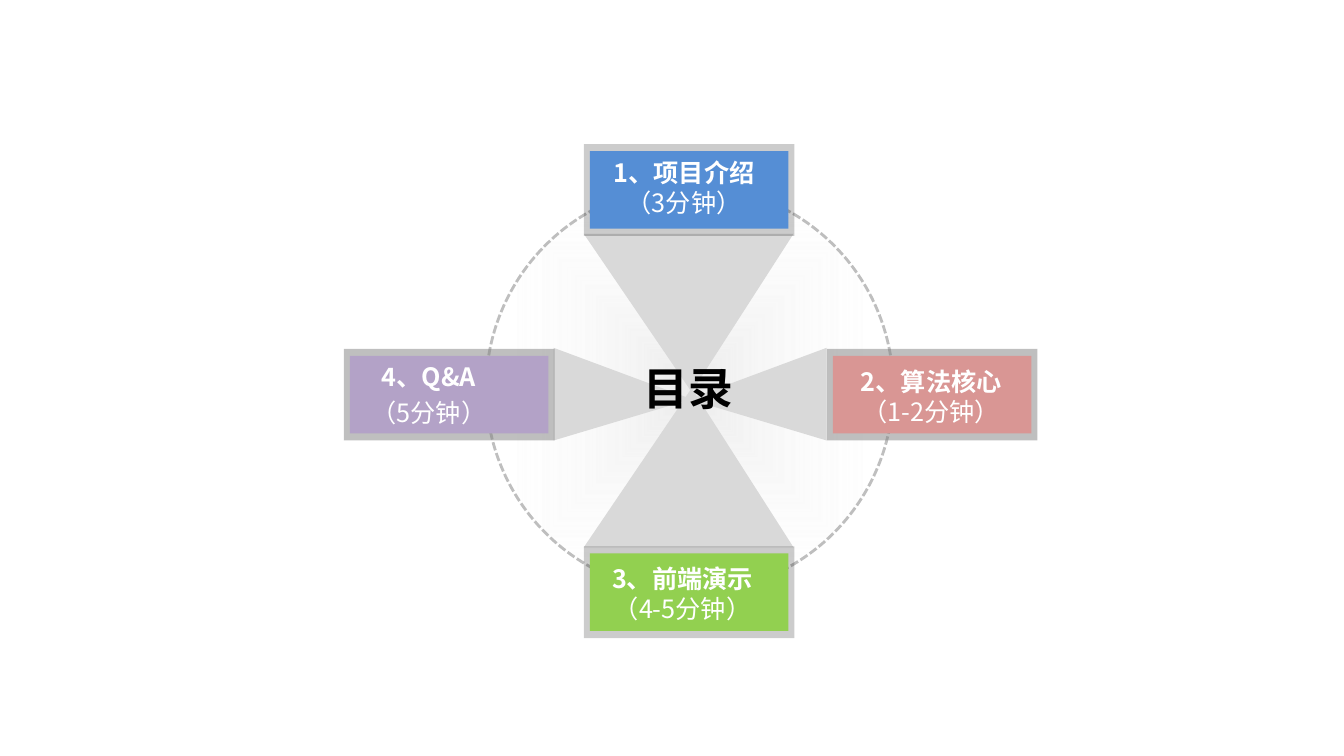
from dataclasses import dataclass

from lxml import etree
from pptx import Presentation
from pptx.dml.color import RGBColor
from pptx.enum import dml, shapes, text
from pptx.oxml import parse_xml
from pptx.oxml.ns import nsdecls, qn
from pptx.util import Inches, Pt


@dataclass(frozen=True)
class Theme:
    font: str = "Noto Sans CJK SC"
    title_font: str = "Calibri"
    label_size: int = 18
    title_size: int = 32
    white: str = "FFFFFF"
    black: str = "000000"
    gray: str = "808080"
    wedge: str = "D9D9D9"
    blue: str = "558ED5"
    red: str = "D99694"
    green: str = "92D050"
    purple: str = "B3A2C7"


THEME = Theme()
HUB_X = 6.86
CARD_W, CARD_H = 2.09, 0.91
INSET_X, INSET_Y = 0.06, 0.07

CARDS = [
    dict(at=(8.2, 3.46), color=THEME.red, frame=(THEME.gray, 50),
         wedge=[(6.83, 3.96), (8.2, 4.37), (8.2, 3.45)],
         label=(8.39, 3.58, 1.69, 0.71), lines=("2、算法核心", "（1-2分钟）")),
    dict(at=(3.41, 3.46), color=THEME.purple, frame=(THEME.gray, 50),
         wedge=[(HUB_X, 3.96), (5.49, 4.37), (5.49, 3.45)],
         label=(3.24, 3.54, 2.03, 0.77), lines=("4、Q&A", "（5分钟）"), gap=3.6),
    dict(at=(5.79, 5.42), color=THEME.green, frame=(THEME.black, 20),
         wedge=[(5.79, 5.43), (7.87, 5.43), (HUB_X, 3.85)],
         label=(5.92, 5.54, 1.7, 0.71), lines=("3、前端演示", "（4-5分钟）")),
    dict(at=(5.79, 1.43), color=THEME.blue, frame=(THEME.black, 20),
         wedge=[(5.79, 2.32), (7.87, 2.32), (HUB_X, 3.89)],
         label=(5.85, 1.51, 1.87, 0.71), lines=("1、项目介绍", "（3分钟）")),
]


def set_alpha(fill_parent, percent):
    color = fill_parent.find(qn("a:solidFill"))[0]
    etree.SubElement(color, qn("a:alpha")).set("val", str(percent * 1000))


def paint(sp, color, alpha=100):
    sp.shadow.inherit = False
    sp.line.fill.background()
    sp.fill.solid()
    sp.fill.fore_color.rgb = RGBColor.from_string(color)
    if alpha < 100:
        set_alpha(sp.element.spPr, alpha)


def add_rect(s, x, y, w, h, color, alpha=100):
    sp = s.shapes.add_shape(shapes.MSO_SHAPE.RECTANGLE,
                            Inches(x), Inches(y), Inches(w), Inches(h))
    paint(sp, color, alpha)


def add_wedge(s, points):
    start, *rest = [(Inches(x), Inches(y)) for x, y in points]
    builder = s.shapes.build_freeform(*start)
    builder.add_line_segments(rest, close=True)
    paint(builder.convert_to_shape(), THEME.wedge)


def add_ring(s, x, y, size):
    sp = s.shapes.add_shape(shapes.MSO_SHAPE.OVAL,
                            Inches(x), Inches(y), Inches(size), Inches(size))
    sp.shadow.inherit = False
    sp.line.color.rgb = RGBColor.from_string(THEME.gray)
    sp.line.width = Pt(2)
    sp.line.dash_style = dml.MSO_LINE.SQUARE_DOT
    line = sp.line._get_or_add_ln()
    line.find(qn("a:prstDash")).set("val", "sysDash")
    set_alpha(line, 50)
    gradient = parse_xml(
        f'<a:gradFill {nsdecls("a")} rotWithShape="1"><a:gsLst>'
        f'<a:gs pos="0"><a:srgbClr val="{THEME.wedge}"><a:alpha val="50000"/></a:srgbClr></a:gs>'
        f'<a:gs pos="100000"><a:srgbClr val="{THEME.white}"><a:alpha val="0"/></a:srgbClr></a:gs>'
        '</a:gsLst><a:path path="rect">'
        '<a:fillToRect l="50000" t="50000" r="50000" b="50000"/></a:path></a:gradFill>')
    sp.element.spPr.find(qn("a:prstGeom")).addnext(gradient)


def add_text(s, lines, x, y, w, h, *, font, size, color, bold_lines=1, gap=0,
             anchor=text.MSO_ANCHOR.TOP):
    tf = s.shapes.add_textbox(Inches(x), Inches(y), Inches(w), Inches(h)).text_frame
    tf.word_wrap = True
    tf.vertical_anchor = anchor
    for i, line in enumerate(lines):
        p = tf.add_paragraph() if i else tf.paragraphs[0]
        p.alignment = text.PP_ALIGN.CENTER
        if i and gap:
            p.space_before = Pt(gap)
        r = p.add_run()
        r.text = line
        r.font.name = font
        r.font.size = Pt(size)
        r.font.bold = i < bold_lines
        r.font.color.rgb = RGBColor.from_string(color)
        etree.SubElement(r.font._element, qn("a:ea")).set("typeface", THEME.font)


def add_card(s, at, color, frame, wedge, label, lines, gap=0):
    x, y = at
    add_wedge(s, wedge)
    add_rect(s, x, y, CARD_W, CARD_H, *frame)
    add_rect(s, x + INSET_X, y + INSET_Y,
             CARD_W - 2 * INSET_X, CARD_H - 2 * INSET_Y, color)
    add_text(s, lines, *label, font=THEME.font, size=THEME.label_size,
             color=THEME.white, gap=gap)


def main():
    prs = Presentation()
    prs.slide_width, prs.slide_height = Inches(13.33), Inches(7.5)
    s = prs.slides.add_slide(prs.slide_layouts[6])
    add_ring(s, 4.82, 1.84, 4.04)
    for card in CARDS:
        add_card(s, **card)
    add_text(s, ["目录"], 6.16, 3.52, 1.34, 0.66, font=THEME.title_font,
             size=THEME.title_size, color=THEME.black, anchor=text.MSO_ANCHOR.MIDDLE)
    prs.save("out.pptx")


if __name__ == "__main__":
    main()
